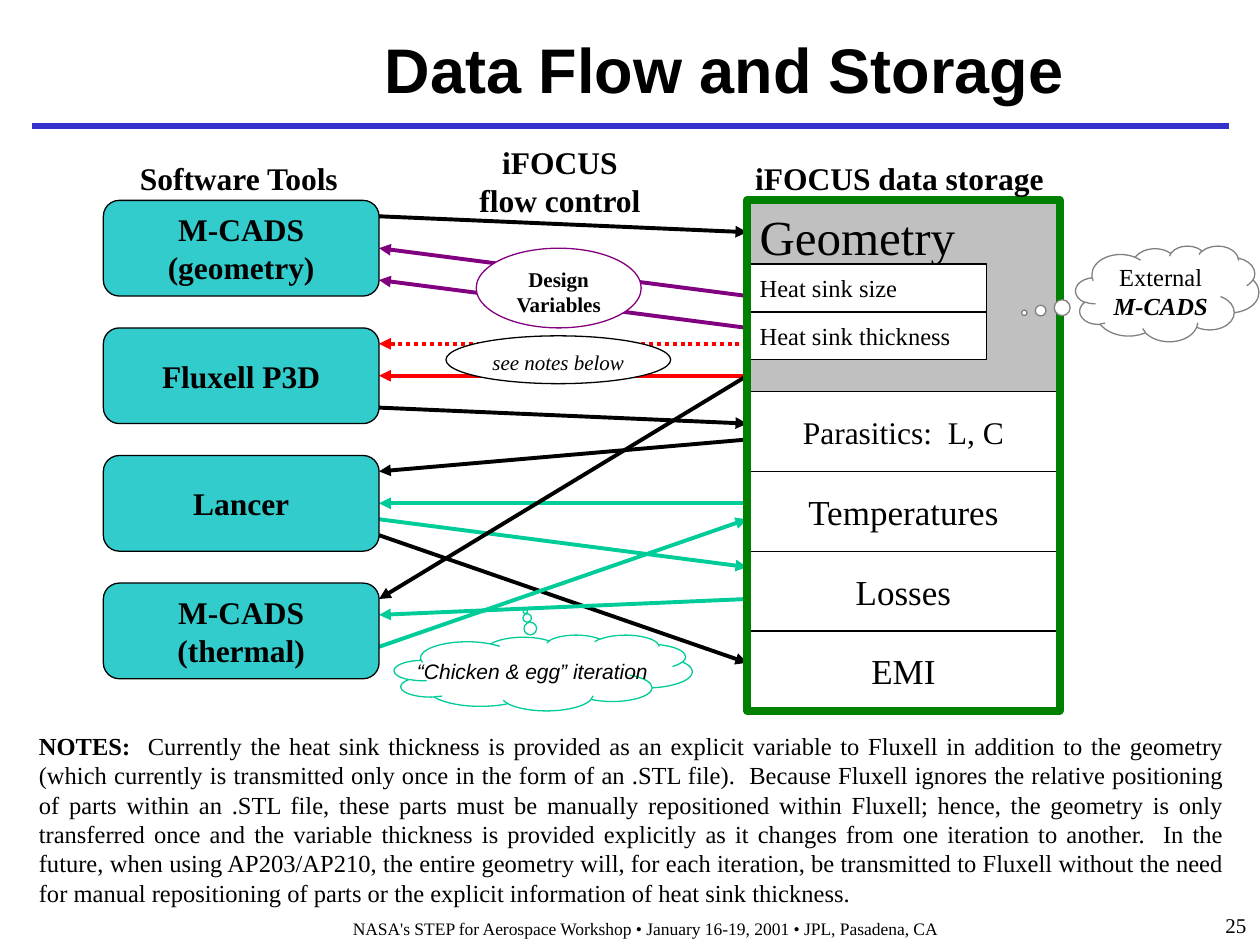
from dataclasses import dataclass

from lxml.etree import SubElement
from pptx import Presentation
from pptx.dml.color import RGBColor
from pptx.enum.dml import MSO_LINE_DASH_STYLE as Dash
from pptx.enum.shapes import MSO_CONNECTOR as Connector, MSO_SHAPE as Shape
from pptx.enum.text import MSO_ANCHOR as Anchor, PP_ALIGN as Align
from pptx.oxml.ns import qn
from pptx.util import Inches, Pt

COLORS = {
    "black": "000000", "white": "FFFFFF", "blue": "3333CC", "teal": "33CCCC",
    "mint": "00CC99", "purple": "800080", "red": "FF0000", "green": "008000",
    "silver": "C0C0C0", "gray": "808080",
}
SERIF, SANS = "Times New Roman", "Arial"
COLUMNS, ROWS = 60, 32
TOOL_EDGE, STORE_EDGE = 17.3, 40.4
STORE_WIDTH = COLUMNS - STORE_EDGE
TOOLS = ["M-CADS\n(geometry)", "Fluxell P3D", "Lancer", "M-CADS\n(thermal)"]
HEADINGS = [
    ("Software Tools", -0.15, -3, 17.3, 3),
    ("iFOCUS\nflow control", 18.3, -4, 20.7, 6),
    ("iFOCUS data storage", 39, -3, 21.9, 4),
]
STORES = [("Parasitics:  L, C", 18), ("Temperatures", 20), ("Losses", 20), ("EMI", 20)]
TO_STORE = [(1, 2, "black"), (13, 14, "black"), (20, 23, "mint"),
            (21, 29, "black"), (28, 20, "mint")]
TO_TOOL = [(6, 3, "purple"), (8, 5, "purple"), (9, 9, "red"), (11, 11, "red"),
           (15, 17, "black"), (19, 19, "mint"), (11, 25, "black"), (25, 26, "mint")]
DOTTED_ROW = 9
NOTES = (
    "Currently the heat sink thickness is provided as an explicit variable to Fluxell "
    "in addition to the geometry (which currently is transmitted only once in the form "
    "of an .STL file).  Because Fluxell ignores the relative positioning of parts within "
    "an .STL file, these parts must be manually repositioned within Fluxell; hence, the "
    "geometry is only transferred once and the variable thickness is provided explicitly "
    "as it changes from one iteration to another.  In the future, when using AP203/AP210, "
    "the entire geometry will, for each iteration, be transmitted to Fluxell without the "
    "need for manual repositioning of parts or the explicit information of heat sink "
    "thickness."
)


@dataclass
class Box:
    left: float
    top: float
    width: float
    height: float

    def cell(self, column, row, columns, rows):
        across, down = self.width / COLUMNS, self.height / ROWS
        return Box(self.left + column * across, self.top + row * down,
                   columns * across, rows * down)

    def lengths(self):
        return [Inches(side) for side in (self.left, self.top, self.width, self.height)]


def color(name):
    return RGBColor.from_string(COLORS[name])


def format_span(span, size, font=SERIF, bold=False, italic=False):
    span.font.name, span.font.size = font, Pt(size)
    span.font.bold, span.font.italic = bold, italic
    span.font.color.rgb = color("black")


def write(shape, text, size, align=Align.CENTER, anchor=Anchor.MIDDLE, wrap=True, **style):
    frame = shape.text_frame
    frame.text = text
    frame.word_wrap = wrap
    frame.vertical_anchor = anchor
    for para in frame.paragraphs:
        para.alignment = align
        for span in para.runs:
            format_span(span, size, **style)
    return frame


def add_label(page, box, text, size, **style):
    return write(page.shapes.add_textbox(*box.lengths()), text, size, **style)


def add_figure(page, kind, box, fill, line, weight=0.75):
    shape = page.shapes.add_shape(kind, *box.lengths())
    shape.shadow.inherit = False
    if fill:
        shape.fill.solid()
        shape.fill.fore_color.rgb = color(fill)
    else:
        shape.fill.background()
    shape.line.color.rgb = color(line)
    shape.line.width = Pt(weight)
    return shape


def add_line(page, start, end, line, weight, arrow=False, dash=None):
    connector = page.shapes.add_connector(
        Connector.STRAIGHT, *[Inches(side) for side in (*start, *end)])
    connector.line.color.rgb = color(line)
    connector.line.width = Pt(weight)
    if dash:
        connector.line.dash_style = dash
    if arrow:
        SubElement(connector.line._get_or_add_ln(), qn("a:tailEnd"), type="triangle")
    SubElement(connector._element.spPr, qn("a:effectLst"))


def add_header(page, box):
    title = page.shapes.title
    title.left, title.top, title.width, title.height = box.lengths()
    write(title, "Data Flow and Storage", 36, font=SANS, bold=True)
    title.text_frame.paragraphs[0].line_spacing = 0.9
    add_line(page, (0.25, 1), (9.75, 1), "blue", 3)


def add_flows(page, box):
    routes = [(TOOL_EDGE, STORE_EDGE, *flow) for flow in TO_STORE]
    routes += [(STORE_EDGE, TOOL_EDGE, *flow) for flow in TO_TOOL]
    for from_column, to_column, from_row, to_row, line in routes:
        start = box.cell(from_column, from_row, 0, 0)
        end = box.cell(to_column, to_row, 0, 0)
        dash = Dash.ROUND_DOT if from_row == DOTTED_ROW else None
        add_line(page, (start.left, start.top), (end.left, end.top), line, 2.25, True, dash)


def add_tools(page, box):
    for index, name in enumerate(TOOLS):
        tool = add_figure(page, Shape.FLOWCHART_ALTERNATE_PROCESS,
                          box.cell(0, 8 * index, TOOL_EDGE, 6), "teal", "black")
        write(tool, name, 18, bold=True)


def add_storage(page, box):
    process = Shape.FLOWCHART_PROCESS
    geometry = add_figure(page, process, box.cell(STORE_EDGE, 0, STORE_WIDTH, 12),
                          "silver", "black")
    write(geometry, "Geometry", 28, Align.LEFT, Anchor.TOP)
    for index, (name, size) in enumerate(STORES):
        store = add_figure(page, process,
                           box.cell(STORE_EDGE, 12 + 5 * index, STORE_WIDTH, 5),
                           "white", "black")
        write(store, name, size)
    for index, name in enumerate(["Heat sink size", "Heat sink thickness"]):
        part = add_figure(page, process, box.cell(STORE_EDGE, 4 + 3 * index, 15, 3),
                          "white", "black")
        write(part, name, 14, Align.LEFT)
    add_figure(page, Shape.RECTANGLE, box.cell(STORE_EDGE, 0, STORE_WIDTH, ROWS),
               None, "green", 4.5)


def add_cloud(page, box, fill, line, pointer):
    cloud = add_figure(page, Shape.CLOUD_CALLOUT, box, fill, line)
    cloud.adjustments[0], cloud.adjustments[1] = pointer
    return cloud


def add_remarks(page, box):
    external = add_cloud(page, box.cell(61, 2.85, 11.5, 6), "white", "gray", (-0.78, 0.2))
    frame = write(external, "External ", 14)
    span = frame.paragraphs[0].add_run()
    span.text = "M-CADS"
    format_span(span, 14, bold=True, italic=True)

    variables = add_figure(page, Shape.OVAL, box.cell(23.4, 3, 10.35, 5), "white", "purple")
    write(variables, "Design Variables", 12, anchor=Anchor.TOP, bold=True)
    pointer = add_figure(page, Shape.OVAL, box.cell(21.5, 8.5, 14.1, 3), "white", "black")
    write(pointer, "see notes below", 12, anchor=Anchor.TOP, italic=True)

    iteration = add_cloud(page, box.cell(18.25, 27.25, 18.7, 4.75), None, "mint",
                          (-0.06, -0.81))
    write(iteration, "“Chicken & egg” iteration", 12, wrap=False, font=SANS, italic=True)


def add_headings(page, box):
    for text, *place in HEADINGS:
        add_label(page, box.cell(*place), text, 18, anchor=Anchor.TOP, bold=True)


def add_notes(page, box):
    frame = add_label(page, box, "NOTES:  ", 14, align=Align.JUSTIFY,
                      anchor=Anchor.TOP, bold=True)
    span = frame.paragraphs[0].add_run()
    span.text = NOTES
    format_span(span, 14)


def add_footer(page, box):
    credit = Box(box.left + 0.12, box.top, 7, box.height)
    add_label(page, credit, "NASA's STEP for Aerospace Workshop • January 16-19, 2001 "
              "• JPL, Pasadena, CA", 10, anchor=Anchor.TOP)
    number = Box(box.left + 7, box.top, box.width - 7, box.height)
    add_label(page, number, "25", 12, align=Align.RIGHT, anchor=Anchor.BOTTOM)


def main():
    deck = Presentation()
    deck.slide_width, deck.slide_height = Inches(10), Inches(7.5)
    page = deck.slides.add_slide(deck.slide_layouts[5])
    diagram = Box(0.82, 1.59, 7.59, 4.05)
    add_header(page, Box(1.75, 0.17, 8, 0.82))
    for add_region in (add_flows, add_tools, add_storage, add_remarks, add_headings):
        add_region(page, diagram)
    add_notes(page, Box(0.21, 5.75, 9.61, 1.41))
    add_footer(page, Box(1.5, 7.24, 8.49, 0.25))
    deck.save("out.pptx")


if __name__ == "__main__":
    main()
